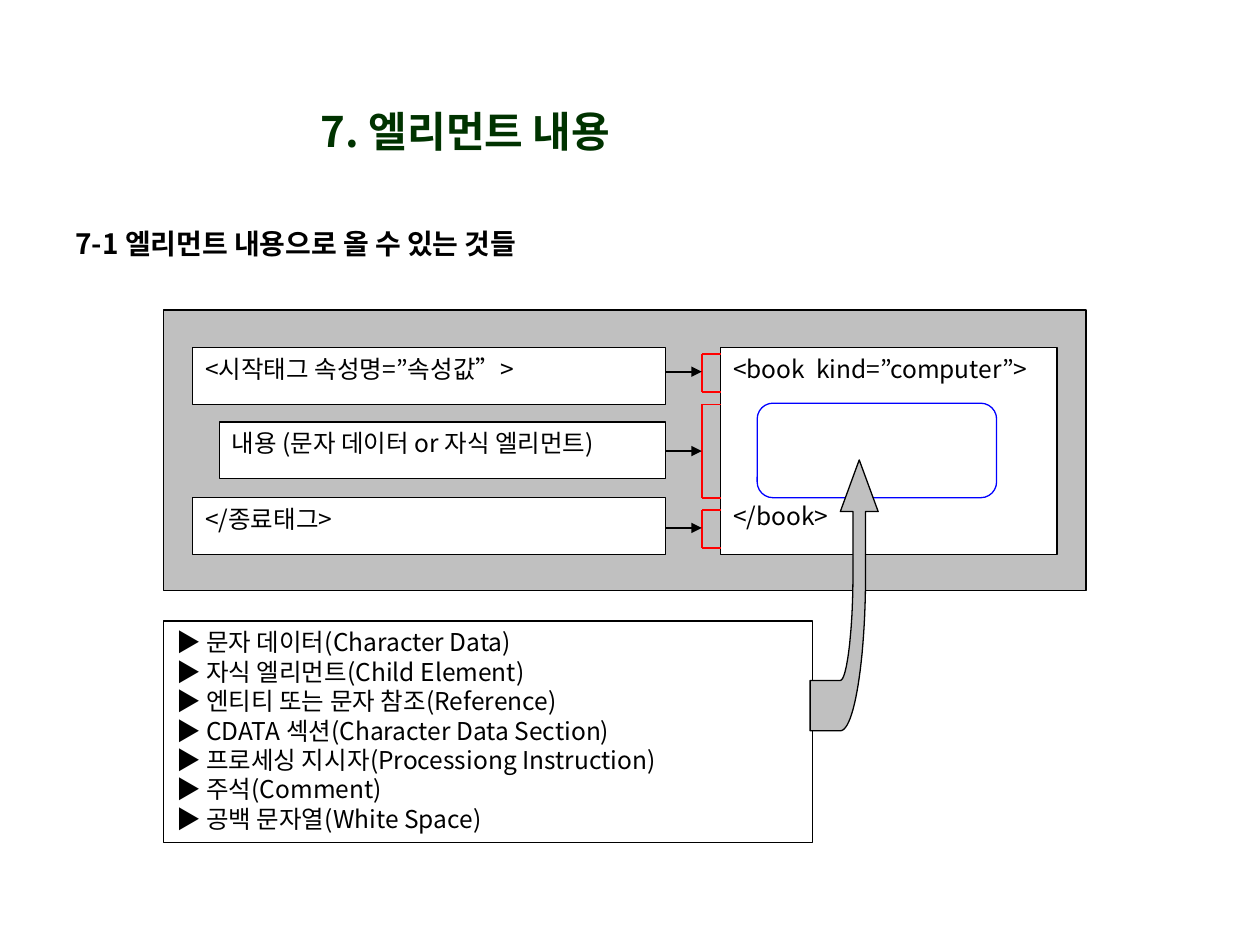
from dataclasses import dataclass

from lxml import etree
from pptx import Presentation
from pptx import util as u
from pptx.dml.color import RGBColor
from pptx.enum import shapes, text
from pptx.oxml import ns


@dataclass(frozen=True)
class Theme:
    font: str = "Noto Sans CJK KR"
    title: str = "003300"
    ink: str = "000000"
    paper: str = "FFFFFF"
    panel: str = "C0C0C0"
    bracket: str = "FF0000"
    content: str = "0000FF"
    title_size: int = 24
    heading_size: int = 16
    body_size: int = 14
    outline: float = 0.75
    stroke: float = 1


T = Theme()
TAG_RIGHT, BRACKET_X, BOOK_LEFT = 5.28, 5.57, 5.72
TAGS = [
    ("<시작태그 속성명=”속성값”>", 1.53, 2.76, 2.81, 3.11, 2.95),
    ("내용 (문자 데이터 or 자식 엘리먼트)", 1.74, 3.35, 3.21, 3.95, 3.58),
    ("</종료태그>", 1.53, 3.95, 4.05, 4.35, 4.19),
]
CONTENTS = [
    "문자 데이터(Character Data)",
    "자식 엘리먼트(Child Element)",
    "엔티티 또는 문자 참조(Reference)",
    "CDATA 섹션(Character Data Section)",
    "프로세싱 지시자(Processiong Instruction)",
    "주석(Comment)",
    "공백 문자열(White Space)",
]


def place(sp, left, top, width, height):
    sp.left, sp.top = u.Inches(left), u.Inches(top)
    sp.width, sp.height = u.Inches(width), u.Inches(height)


def write(sp, lines, size, color=T.ink, bold=False,
          align=text.PP_ALIGN.JUSTIFY, anchor=text.MSO_ANCHOR.TOP):
    tf = sp.text_frame
    tf.text = "\n".join(lines)
    tf.word_wrap = True
    tf.vertical_anchor = anchor
    for p in tf.paragraphs:
        p.alignment = align
        for r in p.runs:
            r.font.name = T.font
            r.font.size = u.Pt(size)
            r.font.bold = bold
            r.font.color.rgb = RGBColor.from_string(color)
            ea = etree.SubElement(r.font._element, ns.qn("a:ea"))
            ea.set("typeface", T.font)
    return tf


def paint(sp, fill, line=T.ink):
    sp.shadow.inherit = False
    sp.fill.solid()
    sp.fill.fore_color.rgb = RGBColor.from_string(fill)
    sp.line.color.rgb = RGBColor.from_string(line)
    sp.line.width = u.Pt(T.outline)


def add_box(s, left, top, width, height, fill=T.paper, line=T.ink,
            kind=shapes.MSO_SHAPE.RECTANGLE):
    sp = s.shapes.add_shape(kind, u.Inches(left), u.Inches(top),
                            u.Inches(width), u.Inches(height))
    paint(sp, fill, line)
    return sp


def add_line(parent, x1, y1, x2, y2, color, arrow=False):
    c = parent.shapes.add_connector(shapes.MSO_CONNECTOR.STRAIGHT,
                                    u.Inches(x1), u.Inches(y1),
                                    u.Inches(x2), u.Inches(y2))
    c.line.color.rgb = RGBColor.from_string(color)
    c.line.width = u.Pt(T.stroke)
    if arrow:
        ln = c.line._get_or_add_ln()
        etree.SubElement(ln, ns.qn("a:tailEnd")).set("type", "triangle")
    etree.SubElement(c._element.spPr, ns.qn("a:effectLst"))


def add_bracket(s, top, bottom):
    group = s.shapes.add_group_shape()
    add_line(group, BOOK_LEFT, bottom, BRACKET_X, bottom, T.bracket)
    add_line(group, BRACKET_X, top, BRACKET_X, bottom, T.bracket)
    add_line(group, BOOK_LEFT, top, BRACKET_X, top, T.bracket)


def curve(p0, p1, p2, p3, steps=24):
    points = []
    for i in range(1, steps + 1):
        t = i / steps
        weights = ((1 - t) ** 3, 3 * t * (1 - t) ** 2,
                   3 * t ** 2 * (1 - t), t ** 3)
        points.append(tuple(sum(w * p[axis] for w, p in zip(weights, (p0, p1, p2, p3)))
                            for axis in (0, 1)))
    return points


def add_bent_arrow(s):
    points = [
        (6.97, 4.06), (6.87, 4.06), (6.87, 4.56),
        *curve((6.87, 4.56), (6.87, 5.24), (6.78, 5.8), (6.67, 5.8)),
        (6.43, 5.8), (6.43, 5.4), (6.67, 5.4),
        *curve((6.67, 5.4), (6.72, 5.4), (6.77, 5.02), (6.77, 4.56)),
        (6.77, 4.06), (6.67, 4.06),
    ]
    builder = s.shapes.build_freeform(u.Inches(6.82), u.Inches(3.65))
    builder.add_line_segments([(u.Inches(x), u.Inches(y)) for x, y in points], close=True)
    paint(builder.convert_to_shape(), T.panel)


def add_headings(s):
    title = s.shapes.title
    place(title, 1.68, 0.81, 4.03, 0.46)
    write(title, ["7. 엘리먼트 내용"], T.title_size, T.title, True,
          text.PP_ALIGN.CENTER, text.MSO_ANCHOR.MIDDLE)
    heading = s.shapes.add_textbox(u.Inches(0.5), u.Inches(1.75),
                                   u.Inches(9), u.Inches(0.4))
    write(heading, ["7-1 엘리먼트 내용으로 올 수 있는 것들"], T.heading_size,
          bold=True, align=text.PP_ALIGN.LEFT)


def add_diagram(s):
    add_box(s, 1.3, 2.46, 7.32, 2.23, T.panel)
    book = add_box(s, BOOK_LEFT, 2.76, 2.67, 1.64)
    tf = write(book, ["<book  kind=”computer”>", "</book>"], T.body_size)
    tf.paragraphs[1].space_before = u.Pt(67)
    add_box(s, 6.01, 3.2, 1.9, 0.75, line=T.content,
            kind=shapes.MSO_SHAPE.ROUNDED_RECTANGLE)
    for label, left, top, bracket_top, bracket_bottom, arrow_y in TAGS:
        tag = add_box(s, left, top, TAG_RIGHT - left, 0.45)
        write(tag, [label], T.body_size)
        add_bracket(s, bracket_top, bracket_bottom)
        add_line(s, TAG_RIGHT, arrow_y, BRACKET_X, arrow_y, T.ink, arrow=True)


def add_contents(s):
    box = add_box(s, 1.3, 4.93, 5.15, 1.76)
    write(box, [f"▶ {item}" for item in CONTENTS], T.body_size)
    add_bent_arrow(s)


def main():
    prs = Presentation()
    prs.slide_width, prs.slide_height = u.Inches(10), u.Inches(7.5)
    s = prs.slides.add_slide(prs.slide_layouts[5])
    add_headings(s)
    add_diagram(s)
    add_contents(s)
    prs.save("out.pptx")


if __name__ == "__main__":
    main()
